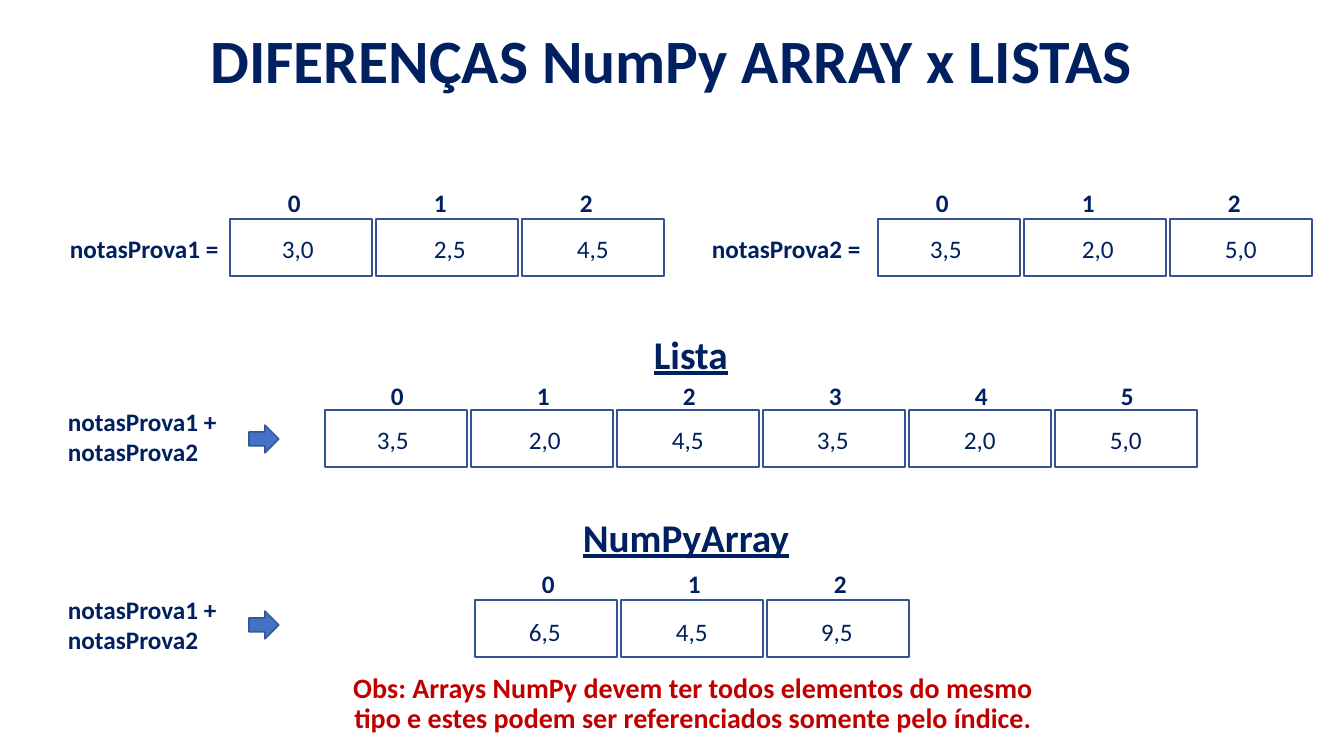
from pptx import Presentation, util as u
from pptx.dml.color import RGBColor
from pptx.enum import shapes, text

PX = 914400 / 100.8
NAVY, RED, WHITE, BLUE, EDGE = "002060", "C00000", "FFFFFF", "4472C4", "325491"
CELL_W, CELL_H, PITCH = 142, 57, 146
LEFT, CENTER = text.PP_ALIGN.LEFT, text.PP_ALIGN.CENTER
TOP, MIDDLE = text.MSO_ANCHOR.TOP, text.MSO_ANCHOR.MIDDLE


def px(*values):
    return [u.Emu(round(v * PX)) for v in values]


def color(value):
    return RGBColor.from_string(value)


def add_shape(s, kind, box, fill, weight):
    sp = s.shapes.add_shape(kind, *px(*box))
    sp.shadow.inherit = False
    sp.fill.solid()
    sp.fill.fore_color.rgb = color(fill)
    sp.line.color.rgb = color(EDGE)
    sp.line.width = u.Pt(weight)


def add_text(s, box, lines, size=18, ink=NAVY, wrap=False, grow=True,
             anchor=TOP, align=LEFT, spaced=False, **font):
    tf = s.shapes.add_textbox(*px(*box)).text_frame
    tf.word_wrap = wrap
    tf.auto_size = text.MSO_AUTO_SIZE.SHAPE_TO_FIT_TEXT if grow else text.MSO_AUTO_SIZE.NONE
    tf.vertical_anchor = anchor
    style = {"name": "Calibri", "size": u.Pt(size), "bold": True, **font}
    for i, line in enumerate(lines.split("\n")):
        p = tf.paragraphs[0] if i == 0 else tf.add_paragraph()
        p.alignment = align
        if spaced:
            p.line_spacing, p.space_after = 0.9, u.Pt(6)
            p._p.get_or_add_pPr().set("marL", str(px(6)[0]))
        r = p.add_run()
        r.text = line
        for key, value in style.items():
            setattr(r.font, key, value)
        r.font.color.rgb = color(ink)


def add_array(s, left, top, values, value_dx, value_dy, index_dx, index_dy, anchor=TOP):
    """Row of boxed values with their indices above."""
    for i, (value, dx) in enumerate(zip(values, value_dx)):
        x = left + i * PITCH
        add_shape(s, shapes.MSO_SHAPE.RECTANGLE, (x, top, CELL_W, CELL_H), WHITE, 1.75)
        add_text(s, (x + dx, top + value_dy, 52, 40), value, anchor=anchor, bold=False)
        add_text(s, (x + index_dx, top + index_dy, 38, 45), str(i),
                 wrap=True, grow=False, anchor=MIDDLE, spaced=True)


def add_sum(s, label_top, arrow_top):
    add_text(s, (58, label_top, 176, 71), "notasProva1 +\nnotasProva2")
    add_shape(s, shapes.MSO_SHAPE.RIGHT_ARROW, (249, arrow_top, 30, 28), BLUE, 1)


def main():
    prs = Presentation()
    prs.slide_width, prs.slide_height = px(1344, 756)
    s = prs.slides.add_slide(prs.slide_layouts[6])

    # Title
    add_text(s, (30, 17, 1284, 85), "DIFERENÇAS NumPy ARRAY x LISTAS",
             size=44, wrap=True, align=CENTER)

    # Two source arrays
    for name, label_left, left, values in (
            ("notasProva1 =", 60, 230, ("3,0", "2,5", "4,5")),
            ("notasProva2 =", 702, 878, ("3,5", "2,0", "5,0"))):
        add_text(s, (label_left, 228, 170, 40), name)
        add_array(s, left, 219, values, (42, 48, 45), 9, 42, -37, MIDDLE)

    # Sum of lists
    add_text(s, (644, 325, 95, 57), "Lista", size=28, underline=True)
    add_sum(s, 401, 425)
    add_array(s, 325, 410, ("3,5", "2,0", "4,5", "3,5", "2,0", "5,0"),
              (42, 48, 45, 44, 45, 45), 9, 50, -35)

    # Sum of NumPy arrays
    add_text(s, (573, 508, 229, 57), "NumPyArray", size=28, underline=True)
    add_sum(s, 589, 611)
    add_array(s, 475, 600, ("6,5", "4,5", "9,5"), (44, 45, 44), 11, 51, -37)

    # Closing remark
    add_text(s, (322, 676, 736, 57),
             "Obs: Arrays NumPy devem ter todos elementos do mesmo tipo e estes "
             "podem ser referenciados somente pelo índice.",
             size=20, ink=RED, wrap=True, grow=False, anchor=MIDDLE,
             align=CENTER, spaced=True)

    prs.save("out.pptx")


if __name__ == "__main__":
    main()
